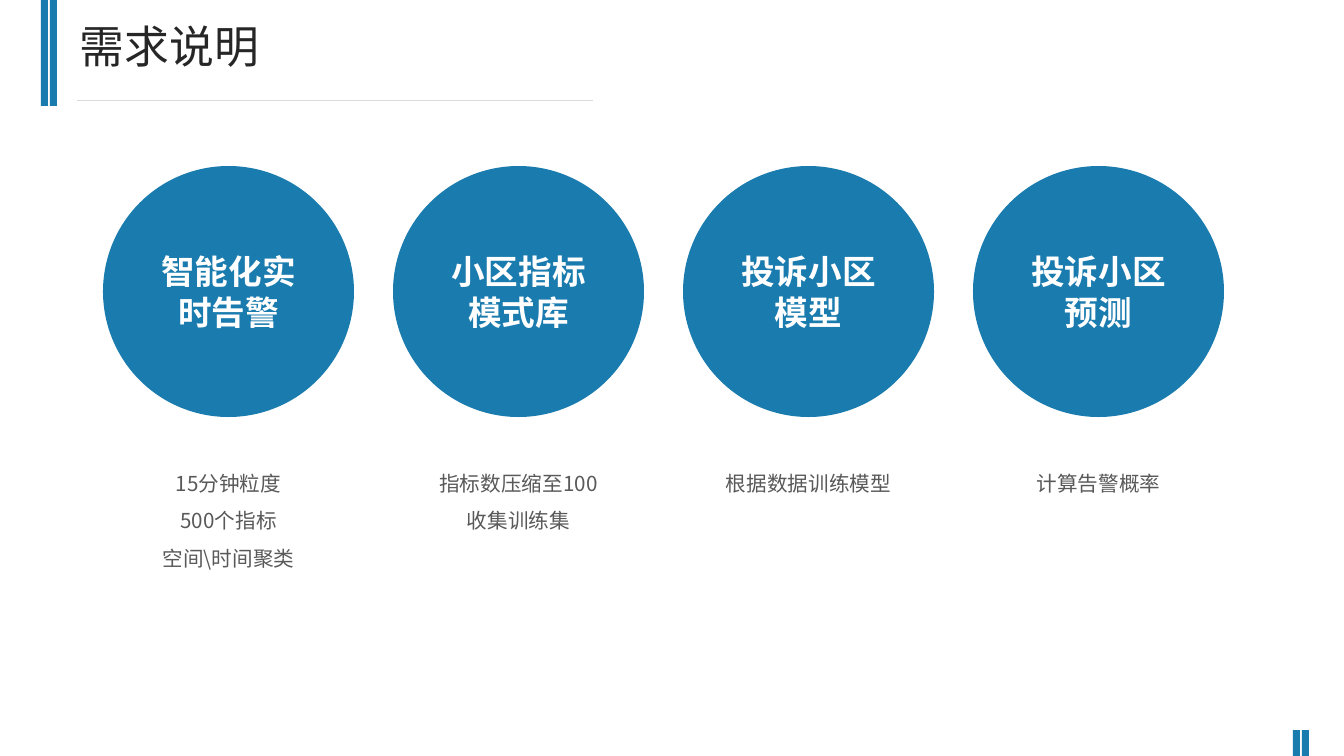
from lxml import etree
from pptx import Presentation, util as u
from pptx.dml.color import RGBColor
from pptx.enum import shapes, text
from pptx.oxml import ns

SCALE = 914400 / 100.8
FONT = "Noto Sans CJK SC"
COLORS = {
    "blue": "1A7BAE",
    "rule": "D9D9D9",
    "title": "262626",
    "body": "595959",
    "white": "FFFFFF",
}
TITLE = {"size": u.Pt(32), "bold": False}
TOPIC = {"size": u.Pt(24), "bold": True}
DETAIL = {"size": u.Pt(14.7), "bold": False}
CENTERED = {"alignment": text.PP_ALIGN.CENTER}
SPACED = {"alignment": text.PP_ALIGN.CENTER, "line_spacing": 1.5}
GROWING = {"word_wrap": True, "auto_size": text.MSO_AUTO_SIZE.SHAPE_TO_FIT_TEXT}
CIRCLE_FRAME = {
    "word_wrap": True,
    "vertical_anchor": text.MSO_ANCHOR.MIDDLE,
    "margin_left": u.Inches(0.13),
    "margin_right": u.Inches(0.13),
    "margin_top": u.Inches(0.07),
    "margin_bottom": u.Inches(0.07),
}
REQUIREMENTS = [
    ("智能化实时告警", ["15分钟粒度", "500个指标", "空间\\时间聚类"]),
    ("小区指标模式库", ["指标数压缩至100", "收集训练集"]),
    ("投诉小区模型", ["根据数据训练模型"]),
    ("投诉小区预测", ["计算告警概率"]),
]


def px(*lengths):
    return [round(length * SCALE) for length in lengths]


def color(name):
    return RGBColor.from_string(COLORS[name])


def apply(target, values):
    for name, value in values.items():
        setattr(target, name, value)


def write(frame, lines, font_format, color_name, frame_format, para_format):
    apply(frame, frame_format)
    for index, line in enumerate(lines):
        para = frame.add_paragraph() if index else frame.paragraphs[0]
        apply(para, para_format)
        span = para.add_run()
        span.text = line
        span.font.color.rgb = color(color_name)
        apply(span.font, {**font_format, "name": FONT})
        east_asian = etree.SubElement(span.font._element, ns.qn("a:ea"))
        east_asian.set("typeface", FONT)


def add_solid(page, kind, *bounds):
    shape = page.shapes.add_shape(kind, *px(*bounds))
    shape.shadow.inherit = False
    shape.fill.solid()
    shape.fill.fore_color.rgb = color("blue")
    shape.line.fill.background()
    return shape


def add_bar_pair(page, left, top, height):
    for offset in (0, 9):
        add_solid(page, shapes.MSO_SHAPE.RECTANGLE, left + offset, top, 7, height)


def add_rule(page, left, right, y):
    rule = page.shapes.add_connector(
        shapes.MSO_CONNECTOR.STRAIGHT, *px(left, y, right, y))
    rule.line.color.rgb = color("rule")
    rule.line.width = u.Pt(0.5)
    etree.SubElement(rule._element.spPr, ns.qn("a:effectLst"))


def add_text(page, bounds, lines, *formats):
    box = page.shapes.add_textbox(*px(*bounds))
    write(box.text_frame, lines, *formats)


def add_requirement(page, left, topic, details):
    size = 251
    circle = add_solid(page, shapes.MSO_SHAPE.OVAL, left, 166, size, size)
    write(circle.text_frame, [topic], TOPIC, "white", CIRCLE_FRAME, CENTERED)
    add_text(page, (left, 454, size, 10 + 37 * len(details)), details,
             DETAIL, "body", GROWING, SPACED)


def main():
    deck = Presentation()
    deck.slide_width, deck.slide_height = px(1344, 756)
    page = deck.slides.add_slide(deck.slide_layouts[6])
    add_bar_pair(page, 41, 0, 106)
    add_bar_pair(page, 1293, 730, 26)
    add_rule(page, 77, 593, 100)
    add_text(page, (70, 14, 568, 65), ["需求说明"], TITLE, "title", GROWING, {})
    for index, (topic, details) in enumerate(REQUIREMENTS):
        add_requirement(page, 103 + 290 * index, topic, details)
    deck.save("out.pptx")


main()
